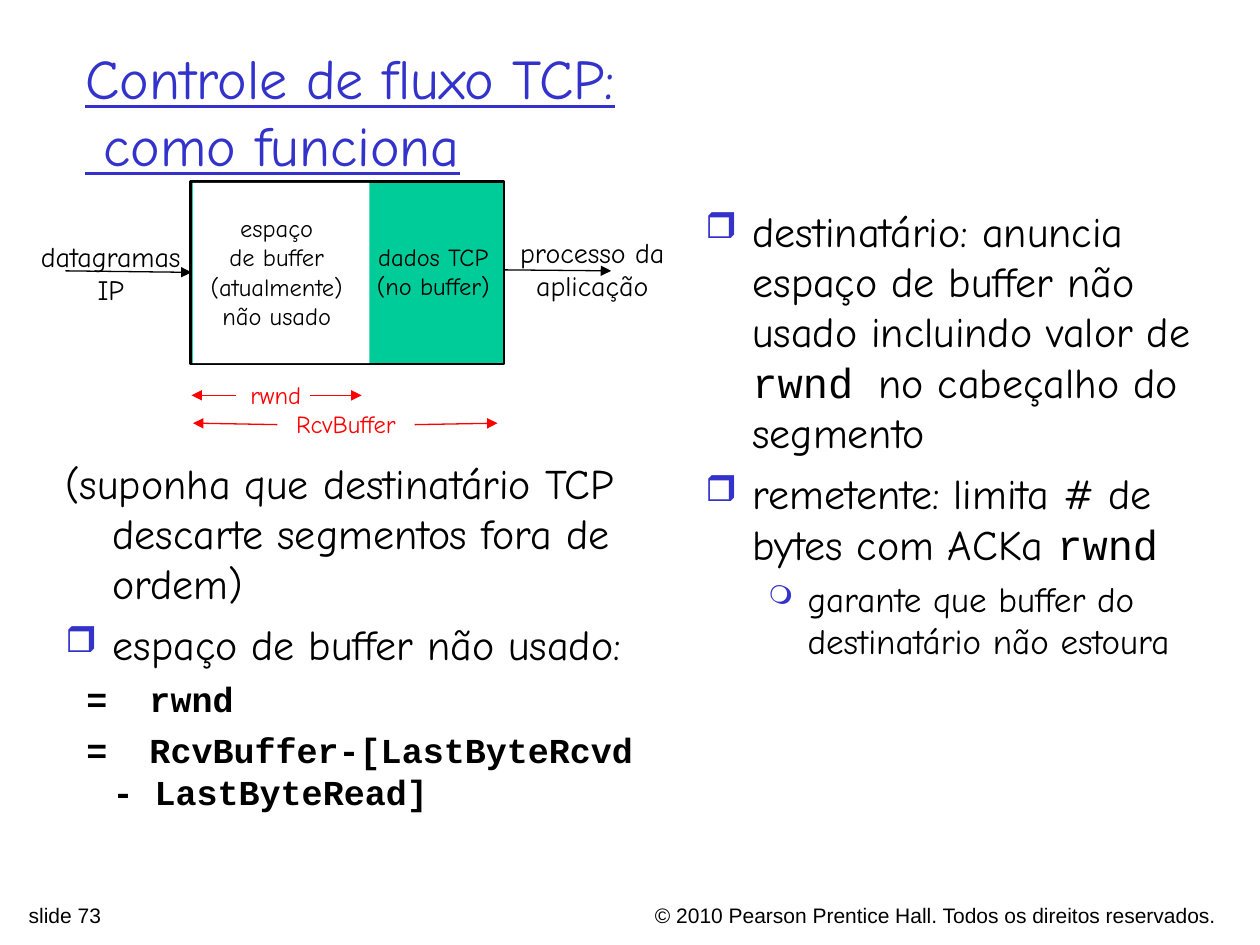
from lxml.etree import SubElement
from pptx import Presentation
from pptx.dml.color import RGBColor
from pptx.enum.shapes import MSO_CONNECTOR as Connector, MSO_SHAPE as Shape
from pptx.enum.text import MSO_ANCHOR as Anchor, MSO_AUTO_SIZE as AutoSize, PP_ALIGN as Align
from pptx.oxml.ns import qn
from pptx.util import Cm, Pt

COLORS = {"ink": "000000", "blue": "3333CC", "red": "FF0000", "green": "00CC99", "white": "FFFFFF"}
HAND, MONO, SANS = "Comic Neue", "Courier New", "Arial"

BODY = {"name": HAND, "size": Pt(24)}
CODE = {"name": MONO, "size": Pt(24)}
FORMULA = {"name": MONO, "size": Pt(20), "bold": True}
DETAIL = {"name": HAND, "size": Pt(20)}
TITLE = {"name": HAND, "size": Pt(32), "underline": True}
FOOTER = {"name": SANS, "size": Pt(12)}
LABEL = {"name": HAND, "size": Pt(16)}
SMALL = {"name": HAND, "size": Pt(14)}

# Left margin and first-line indent in cm, bullet and its size in percent, space before
PLAIN = {"margin": 0.95, "indent": -0.95, "space": 6}
FORMULA_LINE = PLAIN | {"space": 5}
ITEM = PLAIN | {"bullet": "❒", "percent": 85}
SUBITEM = {"margin": 2.06, "indent": -0.79, "space": 5, "bullet": "❍", "percent": 75, "level": 1}


def rgb(color):
    return RGBColor.from_string(COLORS[color])


def shift(box, left, top, width, height):
    """Turn an area relative to a box into an area on the page."""
    return box[0] + left, box[1] + top, width, height


def add_box(page, area):
    box = page.shapes.add_textbox(*map(Cm, area))
    box.text_frame.word_wrap = True
    return box.text_frame


def add_span(para, text, font, color="ink"):
    """Add text in one format; a newline becomes a line break."""
    for number, line in enumerate(text.split("\n")):
        if number:
            para.add_line_break()
        span = para.add_run()
        span.text = line
        for name, value in font.items():
            setattr(span.font, name, value)
        span.font.color.rgb = rgb(color)


def next_para(frame, first):
    return frame.paragraphs[0] if first else frame.add_paragraph()


def format_para(para, style):
    para.level = style.get("level", 0)
    properties = para._p.get_or_add_pPr()
    properties.set("marL", str(Cm(style["margin"])))
    properties.set("indent", str(Cm(style["indent"])))
    if "bullet" in style:
        color = SubElement(properties, qn("a:buClr"))
        SubElement(color, qn("a:srgbClr"), val=COLORS["blue"])
        SubElement(properties, qn("a:buSzPct"), val=str(style["percent"] * 1000))
        SubElement(properties, qn("a:buChar"), char=style["bullet"])
    else:
        SubElement(properties, qn("a:buNone"))


def add_label(page, area, lines, font, color="ink", wrap=False):
    frame = add_box(page, area)
    frame.word_wrap = wrap
    frame.auto_size = AutoSize.SHAPE_TO_FIT_TEXT
    for number, line in enumerate(lines):
        para = next_para(frame, number == 0)
        para.alignment = Align.CENTER
        add_span(para, line, font, color)


def add_arrow(page, box, start, end, color="ink"):
    points = [Cm(box[axis] + point[axis]) for point in (start, end) for axis in (0, 1)]
    arrow = page.shapes.add_connector(Connector.STRAIGHT, *points)
    arrow.line.color.rgb = rgb(color)
    arrow.line.width = Pt(0.75)
    SubElement(arrow.line._get_or_add_ln(), qn("a:tailEnd"), type="triangle")
    SubElement(arrow._element.spPr, qn("a:effectLst"))


def add_block(page, area, fill, outline=None):
    block = page.shapes.add_shape(Shape.RECTANGLE, *map(Cm, area))
    block.shadow.inherit = False
    block.fill.solid()
    block.fill.fore_color.rgb = rgb(fill)
    if outline:
        block.line.color.rgb = rgb(outline)
        block.line.width = Pt(1.5)
    else:
        block.line.fill.background()


def add_title(page, area):
    frame = add_box(page, area)
    frame.vertical_anchor = Anchor.MIDDLE
    add_span(frame.paragraphs[0], "Controle de fluxo TCP:\n como funciona", TITLE, "blue")


def add_body(page, area, content):
    frame = add_box(page, area)
    for number, (style, spans) in enumerate(content):
        para = next_para(frame, number == 0)
        format_para(para, style)
        if number:
            para.space_before = Pt(style["space"])
        for text, font in spans:
            add_span(para, text, font)


def add_buffer_diagram(page, box):
    add_block(page, box, "green", "ink")
    add_arrow(page, box, (-2.52, 1.8), (0.02, 1.83))
    add_label(page, shift(box, -3.28, 1.04, 3.35, 1.63), ["datagramas", "IP"], LABEL)
    add_block(page, shift(box, 0.05, 0.03, 3.56, 3.63), "white")
    add_label(page, shift(box, 3.5, 1.09, 2.79, 1.45), ["dados TCP", "(no buffer)"], SMALL)
    add_label(page, shift(box, 0.15, 0.51, 3.18, 2.64),
              ["espaço\nde buffer\n(atualmente)", "não usado"], SMALL)
    add_arrow(page, box, (6.32, 1.78), (8.48, 1.8))
    add_label(page, shift(box, 6.12, 0.96, 3.96, 1.63), ["processo da", "aplicação"], LABEL, wrap=True)


def add_measure(page, box, name, label, left_arrow, right_arrow, rise=0):
    """Name a width between two arrows that point outwards."""
    left, width = label
    add_label(page, shift(box, left, 0, width, 0.86), [name], SMALL, "red")
    for start, end in (right_arrow, left_arrow):
        add_arrow(page, box, (start, 0.43), (end, 0.43 - rise), "red")


def add_footer(page, area, text, align):
    para = add_box(page, area).paragraphs[0]
    para.alignment = align
    add_span(para, text, FOOTER)


def main():
    deck = Presentation()
    deck.slide_width, deck.slide_height = Cm(25.4), Cm(19.05)
    page = deck.slides.add_slide(deck.slide_layouts[6])

    add_footer(page, (11.79, 18.06, 12.98, 0.61),
               "© 2010 Pearson Prentice Hall. Todos os direitos reservados.", Align.RIGHT)
    add_footer(page, (0.33, 18.06, 8.94, 0.58), "slide 73", Align.LEFT)
    add_title(page, (1.47, 0.64, 22.89, 3.18))
    add_body(page, (1.07, 9.09, 12.8, 8.26), [
        (PLAIN, [("(suponha que destinatário TCP descarte segmentos fora de ordem)", BODY)]),
        (ITEM, [("espaço de buffer não usado:", BODY)]),
        (FORMULA_LINE, [(" =  rwnd", FORMULA)]),
        (FORMULA_LINE, [(" =  RcvBuffer-[LastByteRcvd - LastByteRead]", FORMULA)]),
    ])
    add_body(page, (13.97, 4.01, 10.8, 12.9), [
        (ITEM, [("destinatário: anuncia espaço de buffer não usado incluindo valor de ", BODY),
                ("rwnd ", CODE), ("no cabeçalho do segmento", BODY)]),
        (ITEM, [("remetente: limita # de bytes com ACKa ", BODY), ("rwnd", CODE)]),
        (SUBITEM, [("garante que buffer do destinatário não estoura", DETAIL)]),
    ])
    add_measure(page, (3.84, 7.54), "rwnd", (0.81, 1.82), (0.91, 0.02), (2.41, 3.45))
    add_measure(page, (3.84, 8.13), "RcvBuffer", (1.78, 2.71), (1.75, 0.05), (4.52, 6.19), rise=0.03)
    add_buffer_diagram(page, (3.84, 3.66, 6.32, 3.68))
    deck.save("out.pptx")


if __name__ == "__main__":
    main()
